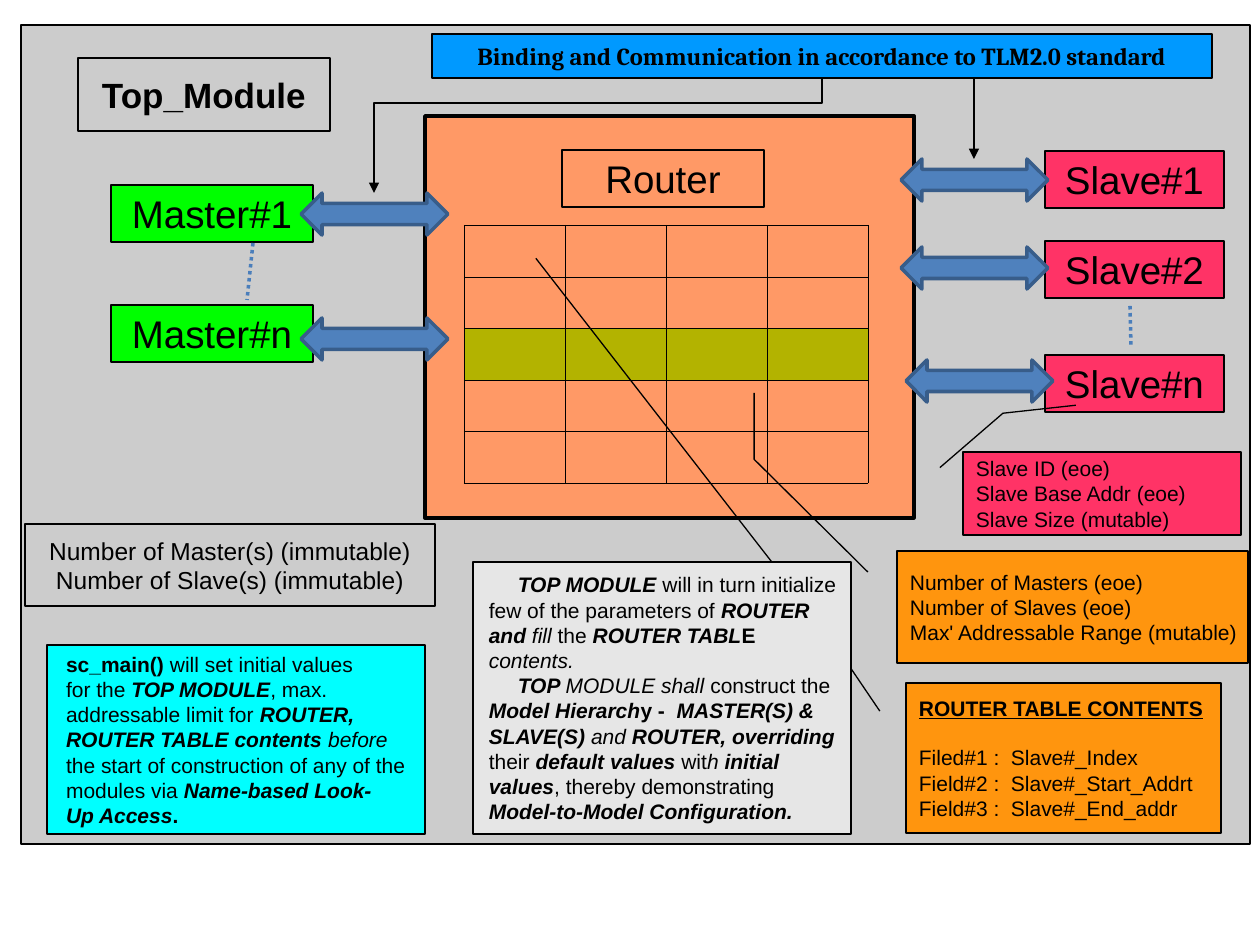
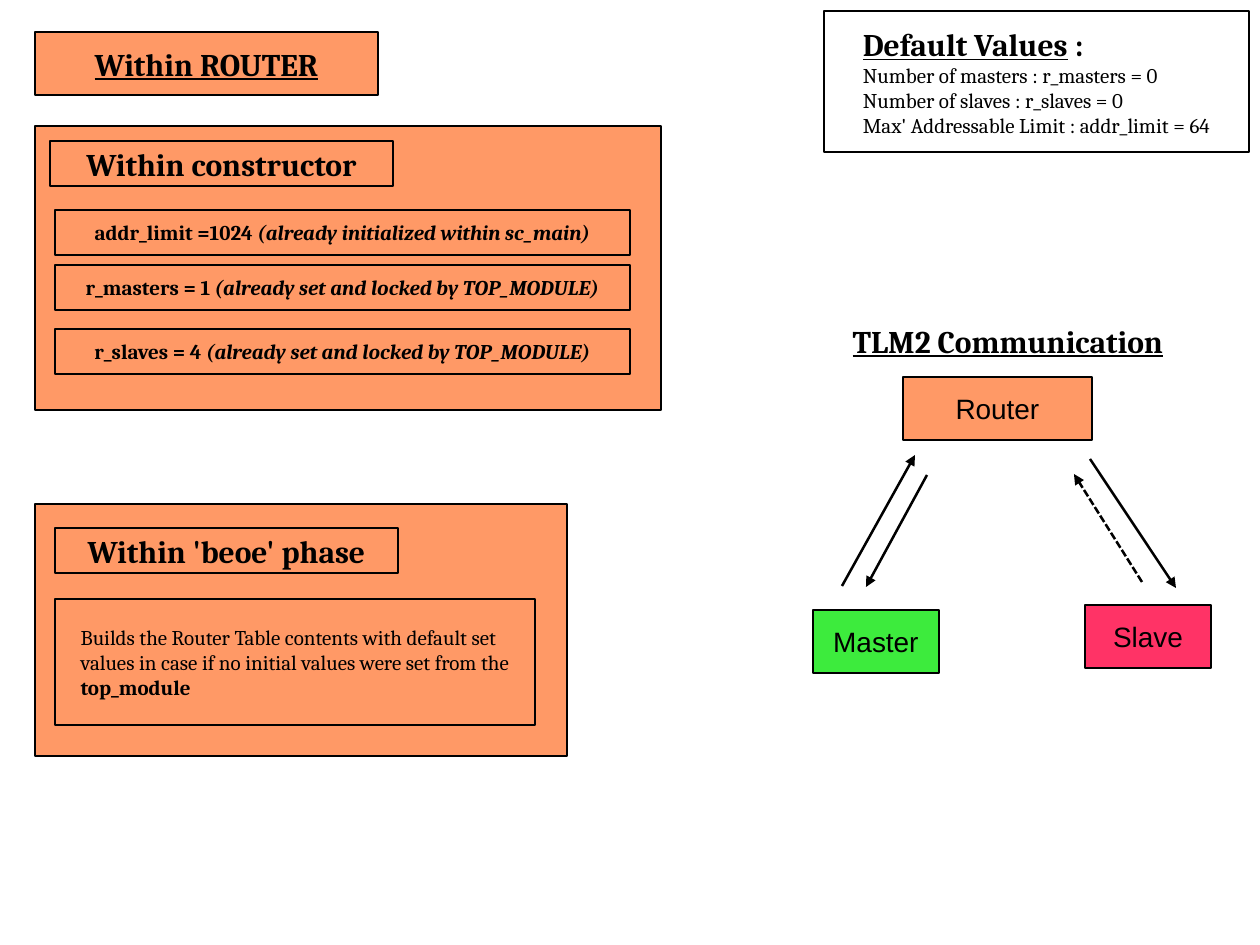
from lxml import etree
from pptx import Presentation
from pptx.dml.color import RGBColor
from pptx.enum.dml import MSO_LINE
from pptx.enum.shapes import MSO_CONNECTOR, MSO_SHAPE
from pptx.enum.text import MSO_ANCHOR, PP_ALIGN
from pptx.oxml.ns import qn
from pptx.util import Pt

PX = 914400 / 126
RECT, PANEL = MSO_SHAPE.RECTANGLE, MSO_SHAPE.ROUNDED_RECTANGLE
CALLOUT, DOUBLE_ARROW = MSO_SHAPE.LINE_CALLOUT_2, MSO_SHAPE.LEFT_RIGHT_ARROW
STRAIGHT, ELBOW = MSO_CONNECTOR.STRAIGHT, MSO_CONNECTOR.ELBOW
DOTS, DASHES = MSO_LINE.ROUND_DOT, MSO_LINE.SQUARE_DOT
LEFT, CENTER, MIDDLE = PP_ALIGN.LEFT, PP_ALIGN.CENTER, MSO_ANCHOR.MIDDLE

BLACK, WHITE, GRAY, PALE_GRAY = "000000", "FFFFFF", "CCCCCC", "E6E6E6"
SALMON, ORANGE, PINK, GREEN = "FF9966", "FF950E", "FF3366", "00FF00"
SOFT_GREEN, CYAN, SKY, OLIVE = "3DEB3D", "00FFFF", "0099FF", "B3B300"
ARROW_BLUE, ARROW_EDGE, DOT_BLUE = "4F81BD", "385D8A", "4A7EBB"

# A paragraph is a string or a list of spans: (text, style letters b/i/u[, size]).

# Slide 1
MASTERS = [("Master#1", 185), ("Master#n", 305)]
SLAVES = [("Slave#1", 151), ("Slave#2", 241), ("Slave#n", 355)]
LINKS = [(301, 193), (301, 318), (901, 159), (901, 247), (906, 360)]
DOTTED = [((1130, 306), (1131, 345)), ((253, 243), (247, 300))]
BINDING = "Binding and Communication in accordance to TLM2.0 standard"
BINDING_ARROWS = [((374, 193), 0.22), ((974, 159), 0)]
TABLE_ROWS = [SALMON, SALMON, OLIVE, SALMON, SALMON]
TABLE_COLUMNS = 4

CALLOUTS = [
    ((963, 452, 278, 83), PINK, (0.188, -0.083, -0.468, 0.144, -0.564, 0.406),
     ["Slave ID (eoe)", "Slave Base Addr (eoe)", "Slave Size (mutable)"], 0),
    ((897, 551, 351, 112), ORANGE, (0.188, -0.083, -0.818, -0.407, -1.411, -0.407),
     ["Number of Masters (eoe)", "Number of Slaves (eoe)",
      "Max' Addressable Range (mutable)"], 0),
    ((906, 683, 315, 150), ORANGE, (0.188, -0.083, -0.336, -0.252, -2.831, -1.175),
     [[("ROUTER TABLE CONTENTS", "bu")], "Filed#1 :  Slave#_Index",
      "Field#2 :  Slave#_Start_Addrt", "Field#3 :  Slave#_End_addr"], 14),
]
COUNTS = ["Number of Master(s) (immutable)", "Number of Slave(s) (immutable)"]
SC_MAIN = [[
    ("sc_main()", "b"), (" will set initial values\nfor the ", ""),
    ("TOP MODULE", "bi"), (", max. addressable limit for ", ""),
    ("ROUTER, ROUTER TABLE contents", "bi"), (" before", "i"),
    (" the start of construction of any of the\nmodules via ", ""),
    ("Name-based Look-\nUp Access", "bi"), (".", "b"),
]]
TOP_MODULE = [
    [("TOP MODULE ", "bi"),
     ("will in turn initialize few of the parameters of ", ""),
     ("ROUTER and ", "bi"), ("fill ", "i"), ("the ", ""),
     ("ROUTER TABL", "bi"), ("E ", "b"), ("contents.", "i")],
    [("TOP ", "bi"), ("MODULE shall ", "i"), ("construct the ", ""),
     ("Model Hierarch", "bi"), ("y -  ", "b"), ("MASTER(S) & SLAVE(S)", "bi"),
     (" and ", "i"), ("ROUTER, overriding", "bi"), (" their ", ""),
     ("default values", "bi"), (" wit", ""), ("h ", "i"),
     ("initial values", "bi"), (", thereby demonstrating ", ""),
     ("Model-to-Model Configuration.", "bi")],
]

# Slide 2
GROUPS = [(35, 504, 532, 252), (35, 126, 626, 284)]
HEADINGS = [
    ("Within ROUTER", "bu", (35, 32, 343, 63)),
    ("Within 'beoe' phase", "b", (55, 528, 343, 45)),
    ("Within constructor", "b", (50, 141, 343, 45)),
]
SETTINGS = [
    ("addr_limit =1024 ", "(already initialized within sc_main)", 210),
    ("r_masters = 1 ", "(already set and locked by TOP_MODULE)", 265),
    ("r_slaves = 4", " (already set and locked by TOP_MODULE)", 329),
]
DEFAULTS = [
    [("Default Values", "bu", 18), (" :", "b", 18)],
    "Number of masters : r_masters = 0",
    "Number of slaves : r_slaves = 0",
    "Max' Addressable Limit : addr_limit = 64",
]
BEOE = [[("Builds the Router Table contents with default set values in case if "
          "no initial values were set from the ", ""), ("top_module", "b")]]
PARTIES = [
    ("Master", SOFT_GREEN, (813, 610, 126, 63)),
    ("Slave", PINK, (1085, 605, 126, 63)),
    ("Router", SALMON, (903, 377, 189, 63)),
]
CALLS = [
    ((842, 586), (915, 455), None), ((1090, 459), (1176, 588), None),
    ((1142, 582), (1074, 474), DASHES), ((927, 475), (866, 587), None),
]


def emu(*lengths):
    return [round(length * PX) for length in lengths]


def color(code):
    return RGBColor.from_string(code)


def write(shape, paragraphs, size=12, font="Arial", style="", align=LEFT,
          centered_block=False, wrap=True, margins=(13, 6), indent=0, first_gap=0):
    frame = shape.text_frame
    frame.word_wrap = wrap
    frame.vertical_anchor = MIDDLE
    frame.margin_left = frame.margin_right = emu(margins[0])[0]
    frame.margin_top = frame.margin_bottom = emu(margins[1])[0]
    if centered_block:
        shape.element.txBody.find(qn("a:bodyPr")).set("anchorCtr", "1")
    for number, content in enumerate(paragraphs):
        para = frame.add_paragraph() if number else frame.paragraphs[0]
        para.alignment = align
        if indent:
            para._p.get_or_add_pPr().set("indent", str(emu(indent)[0]))
        if first_gap and number == 0:
            para.space_after = Pt(first_gap)
        spans = [(content, style)] if isinstance(content, str) else content
        for text, letters, *own_size in spans:
            for part, line in enumerate(text.split("\n")):
                if part:
                    para.add_line_break()
                span = para.add_run()
                span.text = line
                span.font.name = font
                span.font.size = Pt(own_size[0] if own_size else size)
                span.font.bold = "b" in letters
                span.font.italic = "i" in letters
                span.font.underline = "u" in letters
                span.font.color.rgb = color(BLACK)


def add_box(page, kind, place, fill=None, line=BLACK, width=0.75, adjust=()):
    box = page.shapes.add_shape(kind, *emu(*place))
    box.shadow.inherit = False
    for number, value in enumerate((0,) if kind == PANEL else adjust):
        box.adjustments[number] = value
    if fill:
        box.fill.solid()
        box.fill.fore_color.rgb = color(fill)
    else:
        box.fill.background()
    if line:
        box.line.color.rgb = color(line)
        box.line.width = Pt(width)
    else:
        box.line.fill.background()
    return box


def add_panel(page, place, fill, paragraphs, line=BLACK, **text_format):
    """Left-aligned text whose block sits in the middle of the panel."""
    box = add_box(page, PANEL, place, fill, line)
    write(box, paragraphs, centered_block=True, **text_format)


def add_block(page, place, fill, paragraphs, size=22, style=""):
    box = add_box(page, RECT, place, fill, width=0.71)
    write(box, paragraphs, size=size, style=style, align=CENTER, margins=(11, 5))


def add_line(page, begin, end, kind=STRAIGHT, line=BLACK, width=1.45,
             dash=None, arrow=True):
    connector = page.shapes.add_connector(kind, *emu(*begin, *end))
    connector.line.color.rgb = color(line)
    connector.line.width = Pt(width)
    if dash:
        connector.line.dash_style = dash
    properties = connector.element.spPr
    if arrow:
        outline = properties.find(qn("a:ln"))
        etree.SubElement(outline, qn("a:tailEnd"), type="triangle")
    etree.SubElement(properties, qn("a:effectLst"))
    return connector


def add_falling_elbow(page, begin, end, bend):
    """Arrow that leaves downward, turns sideways and falls to its end."""
    (x1, y1), (x2, y2) = begin, end
    middle_x, middle_y = (x1 + x2) / 2, (y1 + y2) / 2
    across, drop = abs(x2 - x1) / 2, (y2 - y1) / 2
    turn = 90 if x2 < x1 else 270
    side = drop if x2 < x1 else -drop
    connector = add_line(page, (middle_x - side, middle_y - across),
                         (middle_x + side, middle_y + across), kind=ELBOW)
    properties = connector.element.spPr
    properties.find(qn("a:xfrm")).set("rot", str(turn * 60000))
    guides = properties.find(qn("a:prstGeom")).find(qn("a:avLst"))
    etree.SubElement(guides, qn("a:gd"), name="adj1", fmla=f"val {round(bend * 100000)}")


def add_router_table(page, place):
    frame = page.shapes.add_table(len(TABLE_ROWS), TABLE_COLUMNS, *emu(*place))
    for row, fill in zip(frame.table.rows, TABLE_ROWS):
        for cell in row.cells:
            cell.margin_top = cell.margin_bottom = 0
            properties = cell._tc.get_or_add_tcPr()
            for side in ("a:lnL", "a:lnR", "a:lnT", "a:lnB"):
                border = etree.SubElement(properties, qn(side), w="762")
                paint = etree.SubElement(border, qn("a:solidFill"))
                etree.SubElement(paint, qn("a:srgbClr"), val=BLACK)
            cell.fill.solid()
            cell.fill.fore_color.rgb = color(fill)


def build_overview(page):
    add_box(page, PANEL, (21, 25, 1229, 819), GRAY)
    add_box(page, RECT, (425, 116, 489, 402), SALMON, width=2)
    for name, top in MASTERS:
        add_block(page, (111, top, 202, 57), GREEN, [name])
    for name, top in SLAVES:
        add_block(page, (1045, top, 179, 57), PINK, [name])
    for begin, end in DOTTED:
        add_line(page, begin, end, line=DOT_BLUE, width=2, dash=DOTS, arrow=False)
    add_block(page, (78, 58, 252, 73), None, ["Top_Module"], size=20, style="b")
    add_panel(page, (47, 645, 378, 189), CYAN, SC_MAIN)
    add_panel(page, (432, 34, 780, 44), SKY, [BINDING], size=14, font="Cambria", style="b")
    add_router_table(page, (464, 225, 404, 258))
    for place, fill, adjust, lines, first_gap in CALLOUTS:
        box = add_box(page, CALLOUT, place, fill, adjust=adjust)
        write(box, lines, wrap=False, first_gap=first_gap)
    for end, bend in BINDING_ARROWS:
        add_falling_elbow(page, (822, 78), end, bend)
    add_panel(page, (473, 562, 378, 272), PALE_GRAY, TOP_MODULE, indent=29)
    add_block(page, (25, 524, 410, 82), GRAY, COUNTS, size=14)
    add_block(page, (562, 150, 202, 57), SALMON, ["Router"])
    for left, top in LINKS:
        add_box(page, DOUBLE_ARROW, (left, top, 147, 42), ARROW_BLUE, ARROW_EDGE, 2)


def build_router_details(page):
    for place in GROUPS:
        add_box(page, PANEL, place, SALMON)
    for heading, style, place in HEADINGS:
        add_panel(page, place, SALMON, [heading], size=18, font="Cambria", style=style)
    add_panel(page, (824, 11, 425, 141), WHITE, DEFAULTS, font="Cambria")
    add_panel(page, (55, 599, 480, 126), SALMON, BEOE, font="Cambria")
    for setting, reason, top in SETTINGS:
        add_panel(page, (55, top, 575, 45), SALMON,
                  [[(setting, "b"), (reason, "bi")]], font="Cambria")
    add_panel(page, (803, 309, 410, 63), WHITE, ["TLM2 Communication"], line=None,
              size=18, font="Cambria", style="bu")
    for name, fill, place in PARTIES:
        add_panel(page, place, fill, [name], size=16)
    for begin, end, dash in CALLS:
        add_line(page, begin, end, dash=dash)


def main():
    deck = Presentation()
    deck.slide_width, deck.slide_height = emu(1260, 945)
    blank = deck.slide_layouts[6]
    for build in (build_overview, build_router_details):
        build(deck.slides.add_slide(blank))
    deck.save("out.pptx")


if __name__ == "__main__":
    main()
